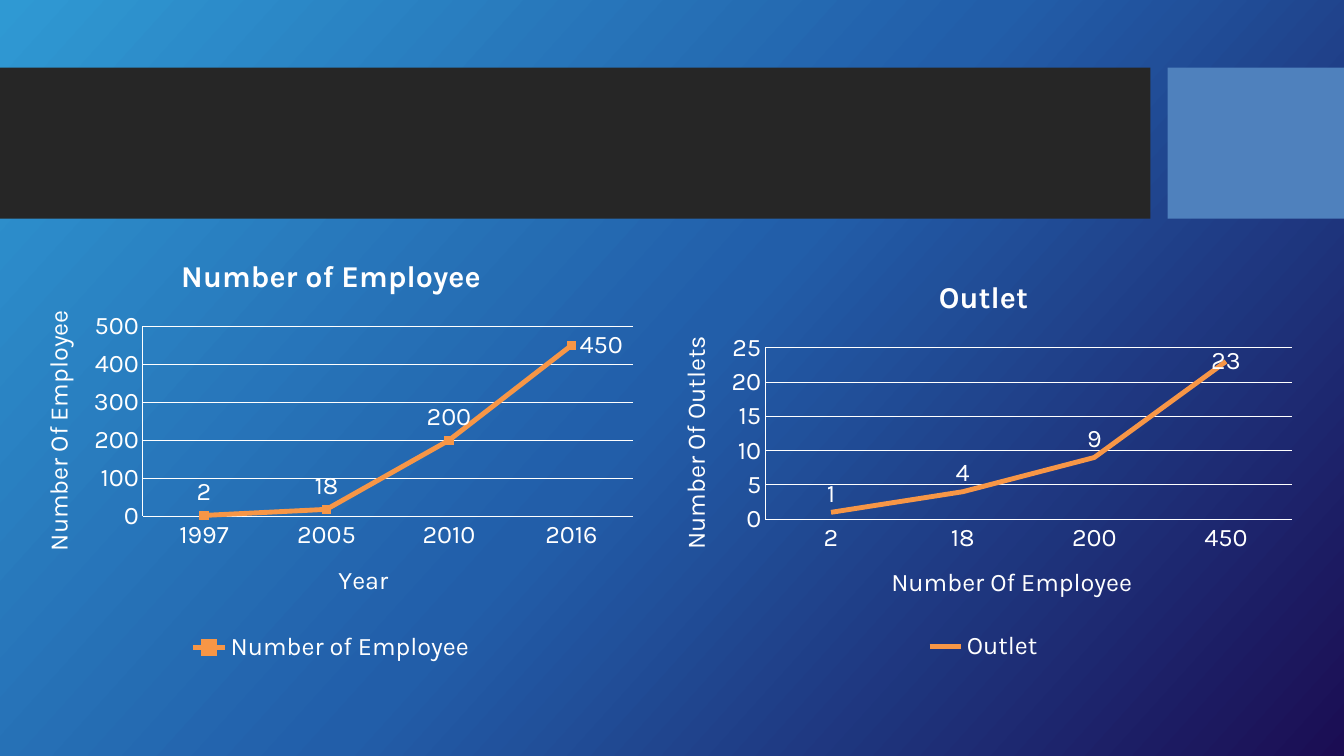
from copy import deepcopy
from dataclasses import dataclass

from lxml.etree import SubElement
from pptx import Presentation
from pptx.chart.data import CategoryChartData
from pptx.dml.color import RGBColor
from pptx.enum.chart import (XL_CHART_TYPE, XL_LABEL_POSITION, XL_LEGEND_POSITION,
                             XL_MARKER_STYLE, XL_TICK_MARK)
from pptx.enum.shapes import MSO_SHAPE
from pptx.oxml.ns import qn
from pptx.util import Inches, Pt


@dataclass(frozen=True)
class Theme:
    font: str = "Karla"
    body: float = 18
    heading: float = 21.6
    text: str = "FFFFFF"
    series: str = "F79646"
    band: str = "262626"
    accent: str = "4F81BD"
    sky: tuple = ((0, "2F99D3"), (0.5, "225EA9"), (1, "1B0D53"))
    sky_angle: float = 318  # counter-clockwise


class SlideBuilder:
    def __init__(self, slide, theme):
        self.slide = slide
        self.theme = theme

    def background(self):
        fill = self.slide.background.fill
        fill.gradient()
        fill.gradient_angle = self.theme.sky_angle
        stops = self.slide.element.find(".//" + qn("a:gsLst"))
        stops.insert(1, deepcopy(stops[0]))
        for stop, (position, color) in zip(fill.gradient_stops, self.theme.sky):
            stop.position = position
            stop.color.rgb = RGBColor.from_string(color)

    def block(self, left, top, width, height, color):
        block = self.slide.shapes.add_shape(
            MSO_SHAPE.RECTANGLE, *map(Inches, (left, top, width, height)))
        block.shadow.inherit = False
        block.fill.solid()
        block.fill.fore_color.rgb = RGBColor.from_string(color)
        block.line.fill.background()

    def style_font(self, font, size, bold=False):
        style = {"name": self.theme.font, "size": Pt(size), "bold": bold}
        for key, value in style.items():
            setattr(font, key, value)
        font.color.rgb = RGBColor.from_string(self.theme.text)

    def style_line(self, line, width, color):
        line.width = Pt(width)
        line.color.rgb = RGBColor.from_string(color)

    def caption(self, owner, text, size, bold=False):
        """Title of a chart or of an axis."""
        frame = owner.text_frame
        frame.text = text
        self.style_font(frame.paragraphs[0].runs[0].font, size, bold)

    def place_plot(self, chart, place):
        plot_area = chart.element.find(".//" + qn("c:plotArea"))
        layout = plot_area.find(qn("c:layout"))
        if layout is None:
            layout = SubElement(plot_area, qn("c:layout"))
            plot_area.insert(0, layout)
        manual = SubElement(layout, qn("c:manualLayout"))
        settings = {"layoutTarget": "inner", "xMode": "edge", "yMode": "edge",
                    **dict(zip("xywh", place))}
        for tag, value in settings.items():
            SubElement(manual, qn("c:" + tag)).set("val", str(value))

    def line_chart(self, box, kind, name, points, axis_titles, scale, plot_place,
                   last_label):
        theme = self.theme
        data = CategoryChartData()
        data.categories = list(points)
        data.add_series(name, points.values())
        chart = self.slide.shapes.add_chart(kind, *map(Inches, box), data).chart
        self.style_font(chart.font, theme.body)
        self.place_plot(chart, plot_place)

        # Title and legend
        chart.has_title = True
        self.caption(chart.chart_title, name, theme.heading, bold=True)
        chart.chart_title.include_in_layout = False
        chart.has_legend = True
        chart.legend.position = XL_LEGEND_POSITION.BOTTOM
        chart.legend.include_in_layout = False

        # Axes
        for axis, title in zip((chart.category_axis, chart.value_axis), axis_titles):
            self.caption(axis.axis_title, title, theme.body)
            axis.major_tick_mark = axis.minor_tick_mark = XL_TICK_MARK.NONE
            self.style_line(axis.format.line, 0.75, theme.text)
        top, step = scale
        value_format = {"minimum_scale": 0, "maximum_scale": top,
                        "major_unit": step, "has_major_gridlines": True}
        for key, value in value_format.items():
            setattr(chart.value_axis, key, value)
        self.style_line(chart.value_axis.major_gridlines.format.line, 0.75, theme.text)

        # Series and its labels
        plot = chart.plots[0]
        plot.vary_by_categories = False
        series = plot.series[0]
        series.smooth = False
        self.style_line(series.format.line, 3.5, theme.series)
        if kind == XL_CHART_TYPE.LINE_MARKERS:
            series.marker.style = XL_MARKER_STYLE.SQUARE
            series.marker.size = 6
            series.marker.format.fill.solid()
            series.marker.format.fill.fore_color.rgb = RGBColor.from_string(theme.series)
            self.style_line(series.marker.format.line, 0.75, theme.series)
        labels = series.data_labels
        labels.show_value = True
        labels.position = XL_LABEL_POSITION.ABOVE
        self.style_font(labels.font, theme.body)
        last = series.points[len(points) - 1].data_label
        self.style_font(last.font, theme.body)
        last.position = last_label


def main():
    prs = Presentation()
    prs.slide_width, prs.slide_height = Inches(13.33), Inches(7.5)
    theme = Theme()
    page = SlideBuilder(prs.slides.add_slide(prs.slide_layouts[6]), theme)

    # Backdrop and header band
    page.background()
    page.block(0, 0.67, 11.41, 1.5, theme.band)
    page.block(11.58, 0.67, 1.75, 1.5, theme.accent)

    # Employees by year
    page.line_chart(
        (0.17, 2.34, 6.23, 4.28), XL_CHART_TYPE.LINE_MARKERS, "Number of Employee",
        {"1997": 2, "2005": 18, "2010": 200, "2016": 450},
        ("Year", "Number Of Employee"), (500, 100), (0.2, 0.21, 0.78, 0.44),
        XL_LABEL_POSITION.RIGHT)

    # Outlets by number of employees
    page.line_chart(
        (6.57, 2.56, 6.37, 4.05), XL_CHART_TYPE.LINE, "Outlet",
        {"2": 1, "18": 4, "200": 9, "450": 23},
        ("Number Of Employee", "Number Of Outlets"), (25, 5), (0.16, 0.22, 0.82, 0.42),
        XL_LABEL_POSITION.CENTER)

    prs.save("out.pptx")


if __name__ == "__main__":
    main()
